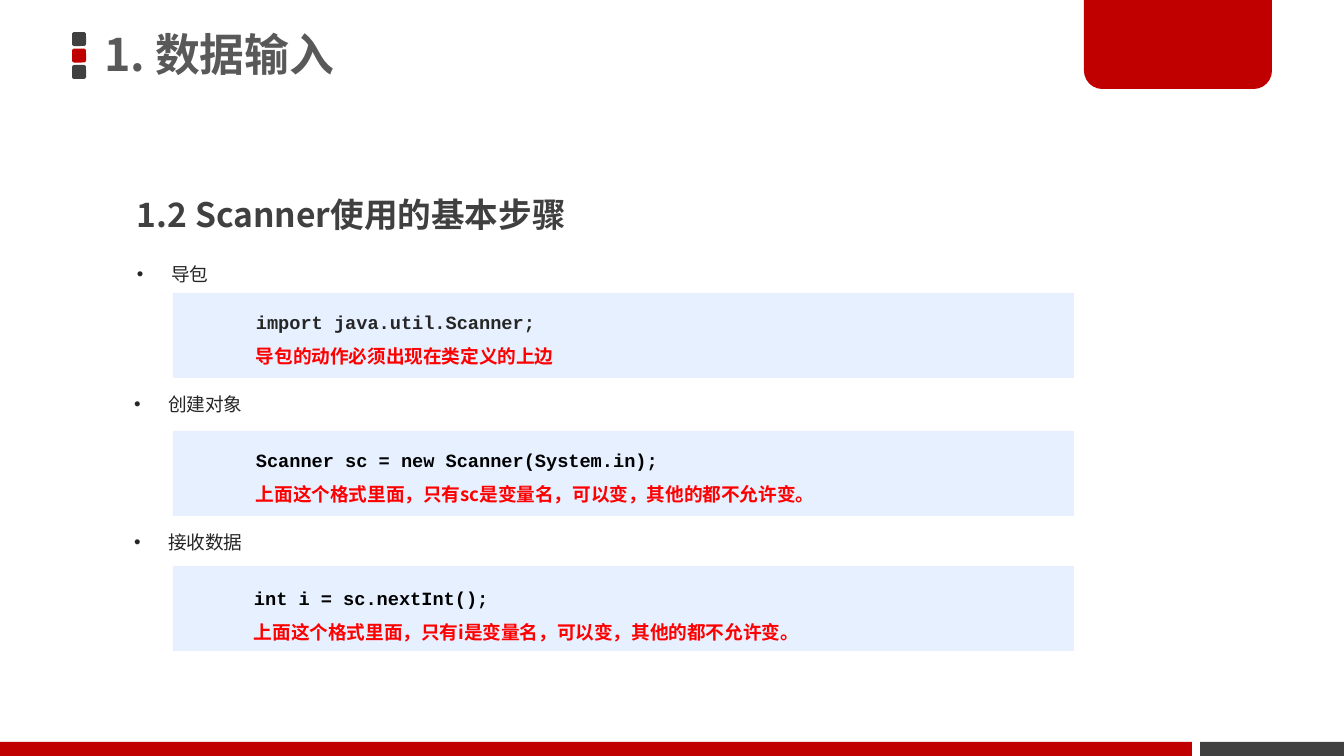
from lxml.etree import SubElement
from pptx import Presentation
from pptx.dml.color import RGBColor
from pptx.enum.shapes import MSO_SHAPE as Shape
from pptx.enum.text import MSO_ANCHOR as Anchor, MSO_AUTO_SIZE as AutoSize, PP_ALIGN as Align
from pptx.oxml.ns import qn
from pptx.util import Emu, Pt

SANS, MONO = "Noto Sans CJK SC", "Courier New"
RED, DARK, INK = "C00000", "404040", "262626"
NOTE_RED, PANEL_BLUE = "FF0000", "E6F0FF"

# bullet, code, code colour, note, bullet corner, panel top, code corner
STEPS = [
    ("导包", "import java.util.Scanner;", INK,
     "导包的动作必须出现在类定义的上边", (124, 245), 293, (243, 293)),
    ("创建对象", "Scanner sc = new Scanner(System.in);", "000000",
     "上面这个格式里面，只有sc是变量名，可以变，其他的都不允许变。", (121, 375), 431, (243, 431)),
    ("接收数据", "int i = sc.nextInt();", "000000",
     "上面这个格式里面，只有i是变量名，可以变，其他的都不允许变。", (121, 513), 566, (241, 569)),
]


def px(length):
    return Emu(round(length * 914400 / 134.4))


def color(value):
    return RGBColor.from_string(value)


def place(shape, box):
    shape.left, shape.top, shape.width, shape.height = map(px, box)


def add_block(page, kind, box, fill):
    block = page.shapes.add_shape(kind, *map(px, box))
    block.shadow.inherit = False
    block.fill.solid()
    block.fill.fore_color.rgb = color(fill)
    block.line.fill.background()
    return block


def prepare_frame(shape, anchor=Anchor.TOP, inset=(13, 7)):
    frame = shape.text_frame
    frame.word_wrap = True
    frame.auto_size = AutoSize.NONE
    frame.vertical_anchor = anchor
    frame.margin_left = frame.margin_right = px(inset[0])
    frame.margin_top = frame.margin_bottom = px(inset[1])
    return frame


def write(para, text, size, ink, face=SANS, bold=False, spacing=1.5, bullet=False):
    para.text = text
    para.alignment = Align.LEFT
    para.line_spacing = spacing
    para.space_before = Pt(0)
    props = para._p.get_or_add_pPr()
    indent = px(34) if bullet else 0
    props.set("marL", str(indent))
    props.set("indent", str(-indent))
    if bullet:
        tint = SubElement(props, qn("a:buClr"))
        SubElement(tint, qn("a:srgbClr"), val=ink)
        SubElement(props, qn("a:buFont"), typeface="Arial")
        SubElement(props, qn("a:buChar"), char="•")
    else:
        SubElement(props, qn("a:buNone"))
    font = para.font
    font.size, font.bold, font.name = Pt(size), bold, face
    font.color.rgb = color(ink)
    SubElement(props.find(qn("a:defRPr")), qn("a:ea"), typeface=SANS)


def add_header(page, box):
    left, top, width, height = box
    for row, fill in enumerate((DARK, RED, DARK)):
        add_block(page, Shape.ROUNDED_RECTANGLE,
                  (left, top + 35 + 16.5 * row, 14, 14), fill)
    tab = add_block(page, Shape.ROUND_2_SAME_RECTANGLE,
                    (left + width - 188, top, 188, 92), RED)
    tab.adjustments[0], tab.adjustments[1] = 0, 0.2
    title = page.shapes.title
    place(title, (left + 21, top, 792, height))
    frame = prepare_frame(title, Anchor.MIDDLE, (11, 5))
    write(frame.paragraphs[0], "1. 数据输入", 24, "595959", bold=True, spacing=0.9)


def add_footer(page, box):
    left, top, width, height = box
    split = width - 144
    add_block(page, Shape.RECTANGLE, (left, top, split - 8, height), RED)
    add_block(page, Shape.RECTANGLE, (left + split, top, 144, height), DARK)


def add_heading(holder, box):
    place(holder, box)
    write(prepare_frame(holder).paragraphs[0], "1.2 Scanner使用的基本步骤", 18, DARK, bold=True)


def add_step(page, holder, step):
    label, code, code_ink, note, bullet_at, panel_top, code_at = step
    place(holder, (*bullet_at, 832, 47))
    write(prepare_frame(holder).paragraphs[0], label, 10, INK, bullet=True)
    add_block(page, Shape.RECTANGLE, (173, panel_top, 901, 85), PANEL_BLUE)
    frame = prepare_frame(page.shapes.add_textbox(*map(px, (*code_at, 832, 81))))
    write(frame.paragraphs[0], code, 10, code_ink, MONO, bold=True)
    write(frame.add_paragraph(), note, 10, NOTE_RED, bold=True)


def main():
    deck = Presentation()
    deck.slide_width, deck.slide_height = px(1344), px(756)
    # The comparison layout offers a title and four body placeholders.
    page = deck.slides.add_slide(deck.slide_layouts[4])
    heading, *bullets = [page.placeholders[idx] for idx in range(1, 5)]
    add_header(page, (72, -3, 1200, 120))
    add_footer(page, (0, 742, 1344, 14))
    add_heading(heading, (124, 167, 516, 74))
    for holder, step in zip(bullets, STEPS):
        add_step(page, holder, step)
    deck.save("out.pptx")


if __name__ == "__main__":
    main()
